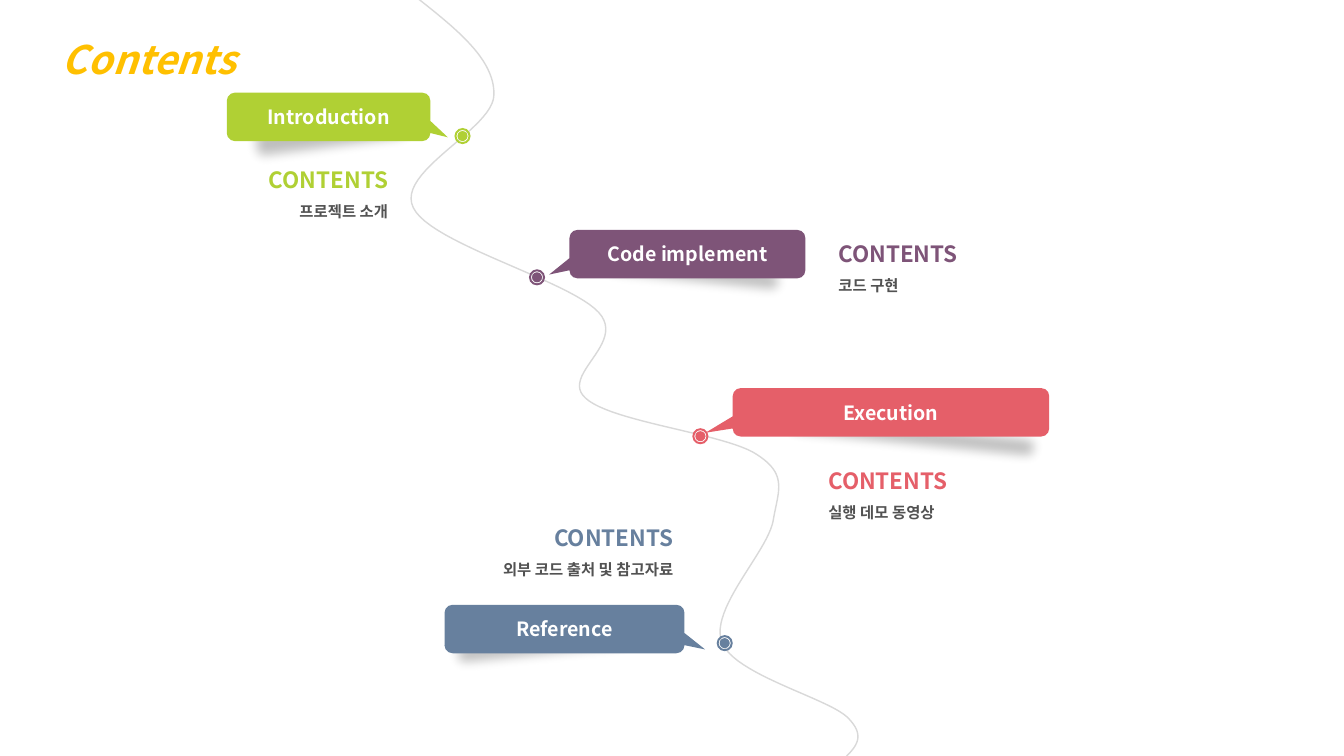
"""Build a contents slide with four stops along a winding road."""
from lxml.etree import SubElement
from pptx import Presentation
from pptx.dml.color import RGBColor
from pptx.enum.shapes import MSO_SHAPE as Preset
from pptx.enum.text import MSO_ANCHOR as Anchor, PP_ALIGN as Align
from pptx.oxml.ns import qn
from pptx.util import Pt

FACE = "Noto Sans CJK KR"
TITLE = ("Contents", (30.2, 5, 152.6, 55.4), "FFC000")
STOPS = [
    dict(label="Execution", detail="실행 데모 동영상", color="E55F69", side="right",
         banner=(523.4, 277.2, 226.1), shade=(549.4, 290.9, 203.8, 40.3), tilt=5.7,
         dot=(500.3, 311.6), note=(584.6, 302.4, 264.2)),
    dict(label="Code implement", detail="코드 구현", color="7E5478", side="right",
         banner=(406.8, 164.2, 168.5), shade=(419, 175, 151.9, 40.3), tilt=5.8,
         dot=(383.6, 198.1), note=(591.8, 140.4, 264.2)),
    dict(label="Introduction", detail="프로젝트 소개", color="B0D034", side="left",
         banner=(162, 66.2, 145.4), shade=(167.8, 73.4, 137.5, 46.1), tilt=-7.5,
         dot=(330.4, 97.2), note=(20.2, 87.8, 264.2)),
    dict(label="Reference", detail="외부 코드 출처 및 참고자료", color="67809E", side="left",
         banner=(317.5, 432, 171.4), shade=(311.8, 441.4, 151.9, 40.3), tilt=-5.8,
         dot=(517.7, 459.4), note=(170.6, 343.4, 317.5)),
]
ROAD_START = (298.1, -1.4)
ROAD_BENDS = [
    ((326.2, 20.9), (353.5, 42.5), (352.8, 67.7)),
    ((352.8, 92.2), (282.2, 122.4), (295.2, 148.3)),
    ((307.4, 174.2), (406.8, 200.2), (427.7, 223.2)),
    ((447.8, 245.5), (399.6, 267.8), (418.3, 284.4)),
    ((437, 301.7), (518.4, 309.6), (540.7, 324.7)),
    ((563, 339.1), (555.8, 350.6), (552.2, 372.2)),
    ((547.9, 394.6), (506.9, 434.9), (515.5, 458.6)),
    ((524.2, 481.7), (589.7, 498.2), (604.8, 511.9)),
    ((619.2, 525.6), (611.3, 533.5), (603.4, 541.4)),
]
STEPS = 24
BANNER_HEIGHT, NOTE_HEIGHT = 34.6, 91.4
RING, CORE = 11.5, 7.2


def rgb(code):
    return RGBColor.from_string(code)


def points(values):
    return [Pt(value) for value in values]


def add_preset(preset, box, color):
    shape = slide.shapes.add_shape(preset, *points(box))
    shape.shadow.inherit = False
    shape.fill.solid()
    shape.fill.fore_color.rgb = rgb(color)
    shape.line.fill.background()
    return shape


def write(paragraph, words, color, align, **formats):
    paragraph.alignment = align
    run = paragraph.add_run()
    run.text = words
    for key, value in dict(formats, name=FACE, bold=True).items():
        setattr(run.font, key, value)
    run.font.color.rgb = rgb(color)
    SubElement(run.font._element, qn("a:ea"), typeface=FACE)


def add_text(box, lines, align, anchor):
    frame = slide.shapes.add_textbox(*points(box)).text_frame
    frame.word_wrap = True
    frame.vertical_anchor = anchor
    for index, (words, color, formats) in enumerate(lines):
        paragraph = frame.add_paragraph() if index else frame.paragraphs[0]
        paragraph.line_spacing = 1.5
        write(paragraph, words, color, align, **formats)


def add_road():
    start, track = ROAD_START, []
    for first, second, end in ROAD_BENDS:
        for step in range(1, STEPS + 1):
            t = step / STEPS
            weights = ((1 - t) ** 3, 3 * t * (1 - t) ** 2, 3 * t * t * (1 - t), t ** 3)
            corners = (start, first, second, end)
            track.append(points(sum(w * c[axis] for w, c in zip(weights, corners))
                                for axis in (0, 1)))
        start = end
    builder = slide.shapes.build_freeform(*points(ROAD_START))
    builder.add_line_segments(track, close=False)
    road = builder.convert_to_shape()
    road.shadow.inherit = False
    road.fill.background()
    road.line.color.rgb = rgb("D9D9D9")
    road.line.width = Pt(1)


def add_shade(box, tilt):
    shade = add_preset(Preset.RECTANGLE, box, "000000")
    shade.rotation = tilt
    black = shade._element.spPr.find(".//" + qn("a:srgbClr"))
    SubElement(black, qn("a:alpha"), val="26000")
    effects = shade._element.spPr.find(qn("a:effectLst"))
    SubElement(effects, qn("a:softEdge"), rad=str(Pt(10)))


def add_stop(label, detail, color, side, banner, shade, tilt, dot, note):
    add_shade(shade, tilt)
    for preset, size in ((Preset.DONUT, RING), (Preset.OVAL, CORE)):
        mark = add_preset(preset, [c - size / 2 for c in dot] + [size, size], color)
        if preset == Preset.DONUT:
            mark.adjustments[0] = 0.125
    callout = add_preset(Preset.ROUNDED_RECTANGULAR_CALLOUT, (*banner, BANNER_HEIGHT), color)
    tail = -0.586 if side == "right" else 0.586
    for index, value in enumerate((tail, 0.422, 0.167)):
        callout.adjustments[index] = value
    callout.text_frame.vertical_anchor = Anchor.MIDDLE
    write(callout.text_frame.paragraphs[0], label, "FFFFFF", Align.CENTER, size=Pt(14))
    lines = [("CONTENTS", color, dict(size=Pt(16))), (detail, "525252", dict(size=Pt(11)))]
    align = Align.LEFT if side == "right" else Align.RIGHT
    add_text((*note, NOTE_HEIGHT), lines, align, Anchor.MIDDLE)


deck = Presentation()
deck.slide_width, deck.slide_height = points((960, 540))
slide = deck.slides.add_slide(deck.slide_layouts[6])
add_road()
for stop in STOPS:
    add_stop(**stop)
heading, heading_box, heading_color = TITLE
add_text(heading_box, [(heading, heading_color, dict(size=Pt(28), italic=True))],
         Align.CENTER, Anchor.TOP)
deck.save("out.pptx")
